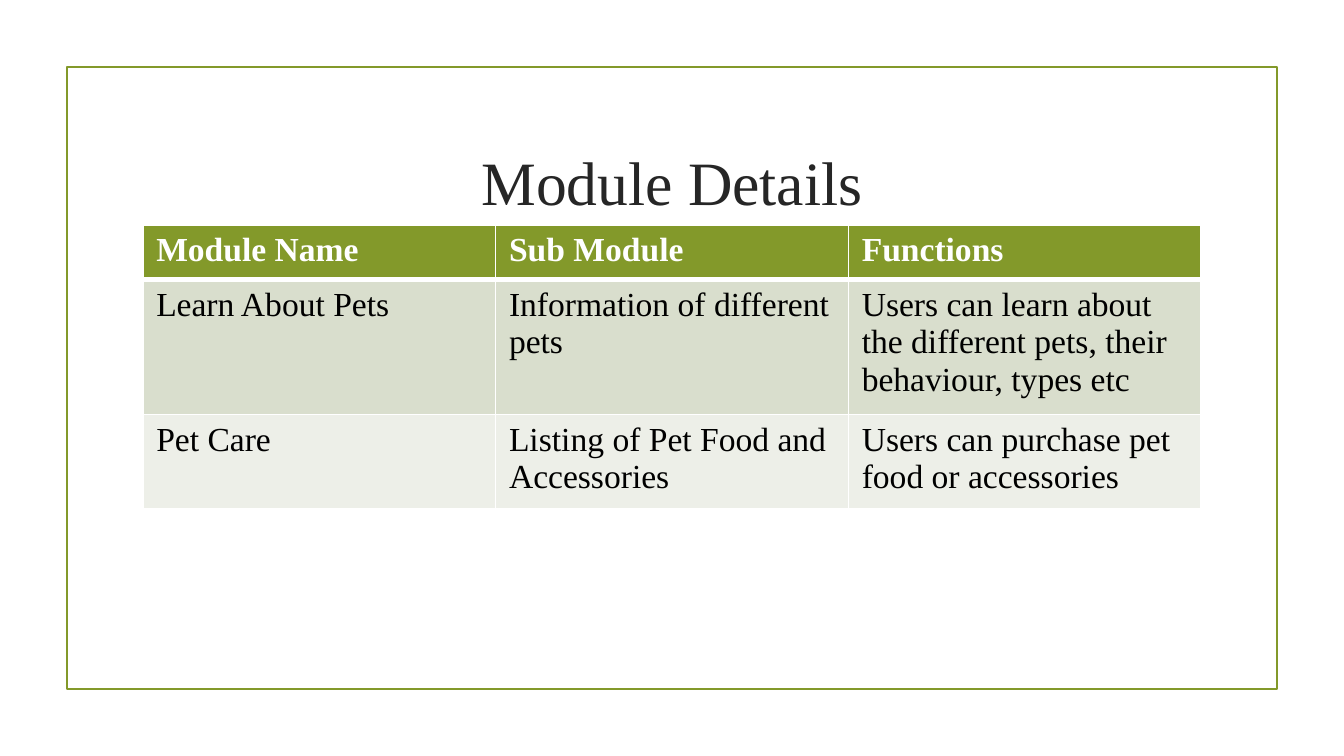
from lxml.etree import SubElement
from pptx import Presentation
from pptx.dml.color import RGBColor
from pptx.enum.shapes import MSO_SHAPE
from pptx.enum.text import MSO_ANCHOR, PP_ALIGN
from pptx.oxml.ns import qn
from pptx.util import Pt

GREEN = RGBColor(0x83, 0x99, 0x2A)
SAGE = RGBColor(0xD9, 0xDE, 0xCD)
PALE = RGBColor(0xED, 0xEF, 0xE8)
WHITE = RGBColor(0xFF, 0xFF, 0xFF)
BLACK = RGBColor(0, 0, 0)
CHARCOAL = RGBColor(0x26, 0x26, 0x26)

MODULES = [
    ("Module Name", "Sub Module", "Functions"),
    ("Learn About Pets", "Information of different pets",
     "Users can learn about the different pets, their behaviour, types etc"),
    ("Pet Care", "Listing of Pet Food and Accessories",
     "Users can purchase pet food or accessories"),
]


class SlideBuilder:
    """Hold the slide and its style, and draw each kind of element."""

    font = "Times New Roman"
    title_size = 33
    cell_size = 18

    def __init__(self, prs):
        self.s = prs.slides.add_slide(prs.slide_layouts[6])

    def add_text(self, p, text, size, color, bold=False):
        r = p.add_run()
        r.text = text
        r.font.name = self.font
        r.font.size = Pt(size)
        r.font.color.rgb = color
        r.font.bold = bold

    def frame(self, x, y, w, h):
        sp = self.s.shapes.add_shape(MSO_SHAPE.RECTANGLE, Pt(x), Pt(y), Pt(w), Pt(h))
        sp.shadow.inherit = False
        sp.fill.background()
        sp.line.color.rgb = GREEN
        sp.line.width = Pt(1.25)

    def title(self, text, x, y, w, h):
        tf = self.s.shapes.add_textbox(Pt(x), Pt(y), Pt(w), Pt(h)).text_frame
        tf.word_wrap = True
        tf.vertical_anchor = MSO_ANCHOR.MIDDLE
        p = tf.paragraphs[0]
        p.alignment = PP_ALIGN.CENTER
        self.add_text(p, text, self.title_size, CHARCOAL)

    def borders(self, cell, widths):
        tcPr = cell._tc.get_or_add_tcPr()
        for i, (side, width) in enumerate(widths.items()):
            ln = tcPr.makeelement(qn(f"a:ln{side}"), {"w": str(Pt(width))})
            fill = SubElement(ln, qn("a:solidFill"))
            SubElement(fill, qn("a:srgbClr"), val=str(WHITE))
            tcPr.insert(i, ln)

    def table(self, rows, x, y, col_width, row_height):
        n_rows, n_cols = len(rows), len(rows[0])
        table = self.s.shapes.add_table(
            n_rows, n_cols, Pt(x), Pt(y),
            Pt(col_width * n_cols), Pt(row_height * n_rows)).table
        for column in table.columns:
            column.width = Pt(col_width)
        for i, values in enumerate(rows):
            header = i == 0
            for j, text in enumerate(values):
                cell = table.cell(i, j)
                cell.fill.solid()
                cell.fill.fore_color.rgb = (GREEN, SAGE, PALE)[i]
                self.add_text(cell.text_frame.paragraphs[0], text, self.cell_size,
                              WHITE if header else BLACK, header)
                self.borders(cell, {"L": 1, "R": 1, "T": 3 if i == 1 else 1,
                                    "B": 3 if header else 1})


def main():
    prs = Presentation()
    prs.slide_width, prs.slide_height = Pt(720), Pt(405)
    slide = SlideBuilder(prs)
    slide.frame(36, 36, 648, 333)
    slide.title("Module Details", 76.5, 58.5, 567, 77)
    slide.table(MODULES, 76.5, 120.5, 189, 29.5)
    prs.save("out.pptx")


if __name__ == "__main__":
    main()
